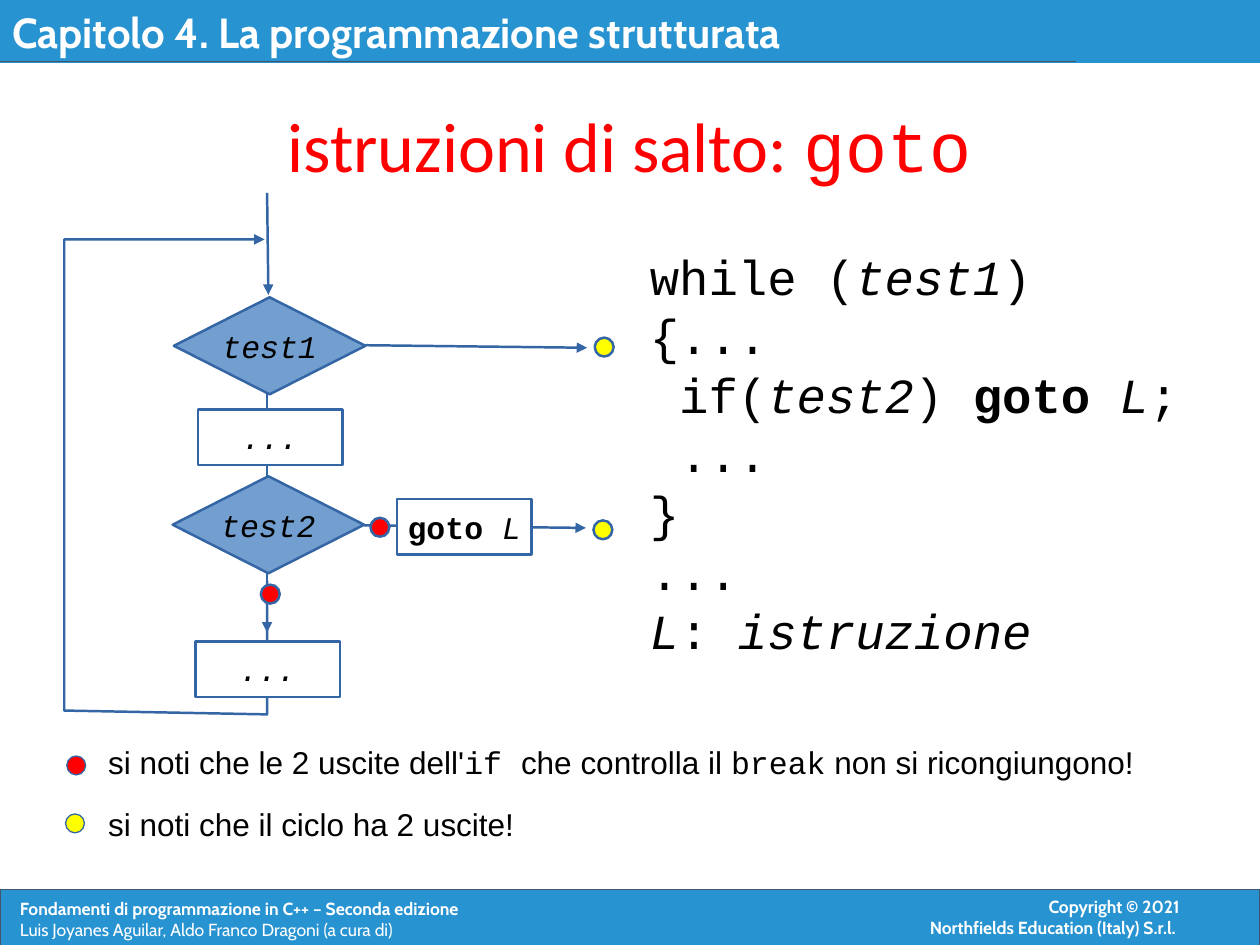
"""Build a slide on jump statements: a flowchart with goto beside its code."""
from lxml.etree import SubElement
from pptx import Presentation
from pptx.dml.color import RGBColor
from pptx.enum.shapes import MSO_CONNECTOR as Link, MSO_SHAPE as Form
from pptx.enum.text import MSO_ANCHOR as Anchor, PP_ALIGN as Align
from pptx.oxml.ns import qn
from pptx.util import Inches, Pt

BLUE, NAVY, SKY, SLATE = "2893D1", "3465A4", "729FCF", "44546A"
RED, YELLOW, WHITE, BLACK = "FF0000", "FFFF00", "FFFFFF", "000000"
MONO = "Courier New"

HEAD = [[("Capitolo 4. La programmazione strutturata", "b")]]
BOOK = [
    [("Fondamenti di programmazione in C++ – Seconda edizione", "b")],
    ["Luis Joyanes Aguilar, Aldo Franco Dragoni (a cura di)"],
]
RIGHTS = [[("Copyright © 2021", "b")], [("Northfields Education (Italy) S.r.l. ", "b")]]
TITLE = [["istruzioni di salto: ", ("goto", "m")]]
CODE = [
    ["while (", ("test1", "i"), ")"],
    ["{..."],
    [" if(", ("test2", "i"), ") ", ("goto", "b"), (" L", "i"), ";"],
    [" ..."],
    ["}"],
    ["..."],
    [("L", "i"), ": ", ("istruzione", "i")],
]
NOTES = [
    (0.53, 6, RED, 5.85, ["si noti che le 2 uscite dell'", ("if ", "m"),
                          "che controlla il ", ("break", "m"), " non si ricongiungono!"]),
    (0.52, 6.46, YELLOW, 6.34, ["si noti che il ciclo ha 2 uscite!"]),
]
LINKS = [
    (2.12, 3.78, 2.12, 3.13, False),
    (2.12, 1.53, 2.13, 2.34, True),
    (2.9, 2.74, 4.66, 2.76, True),
    (2.12, 4.55, 2.12, 5.02, True),
    (2.89, 4.17, 4.65, 4.19, True),
]
LOOP = [(2.12, 4.61), (2.12, 5.67), (0.51, 5.64), (0.51, 1.9), (2.1, 1.9)]
TESTS = [(1.38, 2.36, "test1"), (1.37, 3.78, "test2")]
STEPS = [
    (1.57, 3.25, 1.15, [("...", "i")]),
    (1.55, 5.09, 1.15, [("...", "i")]),
    (3.15, 3.96, 1.07, [("goto ", "b"), ("L", "i")]),
]
DOTS = [(2.07, 4.64, RED), (2.94, 4.11, RED), (4.71, 4.13, YELLOW), (4.72, 2.68, YELLOW)]


def color(code):
    return RGBColor.from_string(code)


def write(shape, paras, size=18, font=MONO, ink=BLACK, align=Align.LEFT,
          anchor=Anchor.TOP, pad=(0.1, 0.05), wrap=True, pitch=None):
    frame = shape.text_frame
    frame.word_wrap, frame.vertical_anchor = wrap, anchor
    frame.margin_left = frame.margin_right = Inches(pad[0])
    frame.margin_top = frame.margin_bottom = Inches(pad[1])
    for i, parts in enumerate(paras):
        para = frame.add_paragraph() if i else frame.paragraphs[0]
        para.alignment = align
        if pitch:
            para.line_spacing = Pt(pitch)
        for part in parts:
            words, style = (part, "") if isinstance(part, str) else part
            run = para.add_run()
            run.text = words
            face = run.font
            face.name = MONO if "m" in style else font
            face.size, face.color.rgb = Pt(size), color(ink)
            face.bold, face.italic = "b" in style, "i" in style


def paint(shape, fill=None, line=NAVY, width=1.42):
    shape.shadow.inherit = False
    if fill:
        shape.fill.solid()
        shape.fill.fore_color.rgb = color(fill)
    else:
        shape.fill.background()
    if line:
        shape.line.color.rgb, shape.line.width = color(line), Pt(width)
    else:
        shape.line.fill.background()
    return shape


def place(shapes, form, box, *look):
    return paint(shapes.add_shape(form, *map(Inches, box)), *look)


def label(shapes, box, paras, **style):
    write(shapes.add_textbox(*map(Inches, box)), paras, **style)


def tip(shape):
    SubElement(shape.line._get_or_add_ln(), qn("a:tailEnd"), type="triangle")


def link(shapes, ends, arrow=False, ink=NAVY, width=1.42):
    line = shapes.add_connector(Link.STRAIGHT, *map(Inches, ends))
    line.line.color.rgb, line.line.width = color(ink), Pt(width)
    if arrow:
        tip(line)
    SubElement(line._element.spPr, qn("a:effectLst"))


def trace(shapes, points, close, fill=None):
    first, *rest = [(Inches(x), Inches(y)) for x, y in points]
    pen = shapes.build_freeform(*first)
    pen.add_line_segments(rest, close=close)
    return paint(pen.convert_to_shape(), fill)


def frame_bars(shapes):
    place(shapes, Form.RECTANGLE, (0, 7.06, 10, 0.47), BLUE, SLATE, 0.75)
    bar = {"font": "Cabin", "ink": WHITE}
    label(shapes, (0.06, 7.08, 4.78, 0.43), BOOK, size=10, wrap=False, **bar)
    label(shapes, (6.73, 7.06, 2.73, 0.6), RIGHTS, size=10, align=Align.RIGHT, **bar)
    write(place(shapes, Form.RECTANGLE, (0, 0, 10, 0.5), BLUE, None), HEAD, size=24, **bar)
    link(shapes, (0, 0.49, 8.54, 0.49), ink=SLATE, width=0.75)


def flow(shapes):
    for *ends, arrow in LINKS:
        link(shapes, ends, arrow)
    tip(trace(shapes, LOOP, False))
    mid = {"align": Align.CENTER, "anchor": Anchor.MIDDLE, "pad": (0.11, 0.06), "wrap": False}
    wide, high = 1.52, 0.77
    for x, y, name in TESTS:
        points = [(x + wide / 2, y), (x + wide, y + high / 2),
                  (x + wide / 2, y + high), (x, y + high / 2)]
        write(trace(shapes, points, True, SKY), [[(name, "i")]], **mid)
    for x, y, width, parts in STEPS:
        step = place(shapes, Form.FLOWCHART_PROCESS, (x, y, width, 0.44), WHITE)
        write(step, [parts], **mid)
    for x, y, fill in DOTS:
        place(shapes, Form.OVAL, (x, y, 0.15, 0.15), fill)


def main():
    deck = Presentation()
    deck.slide_width, deck.slide_height = Inches(10), Inches(7.5)
    slide = deck.slides.add_slide(deck.slide_layouts[5])
    shapes = slide.shapes
    frame_bars(shapes)
    title = shapes.title
    title.left, title.top, title.width, title.height = map(Inches, (1.53, 0.91, 6.93, 0.48))
    write(title, TITLE, size=40, font="Calibri", ink=RED, align=Align.CENTER,
          anchor=Anchor.MIDDLE, pad=(0, 0))
    flow(shapes)
    label(shapes, (5.06, 1.91, 4.86, 3.73), CODE, size=28, pitch=33.7)
    for x, y, fill, top, parts in NOTES:
        place(shapes, Form.OVAL, (x, y, 0.15, 0.15), fill, NAVY, 0.75)
        label(shapes, (0.76, top, 8.86, 0.58), [parts], font="Arial")
    deck.save("out.pptx")


if __name__ == "__main__":
    main()
